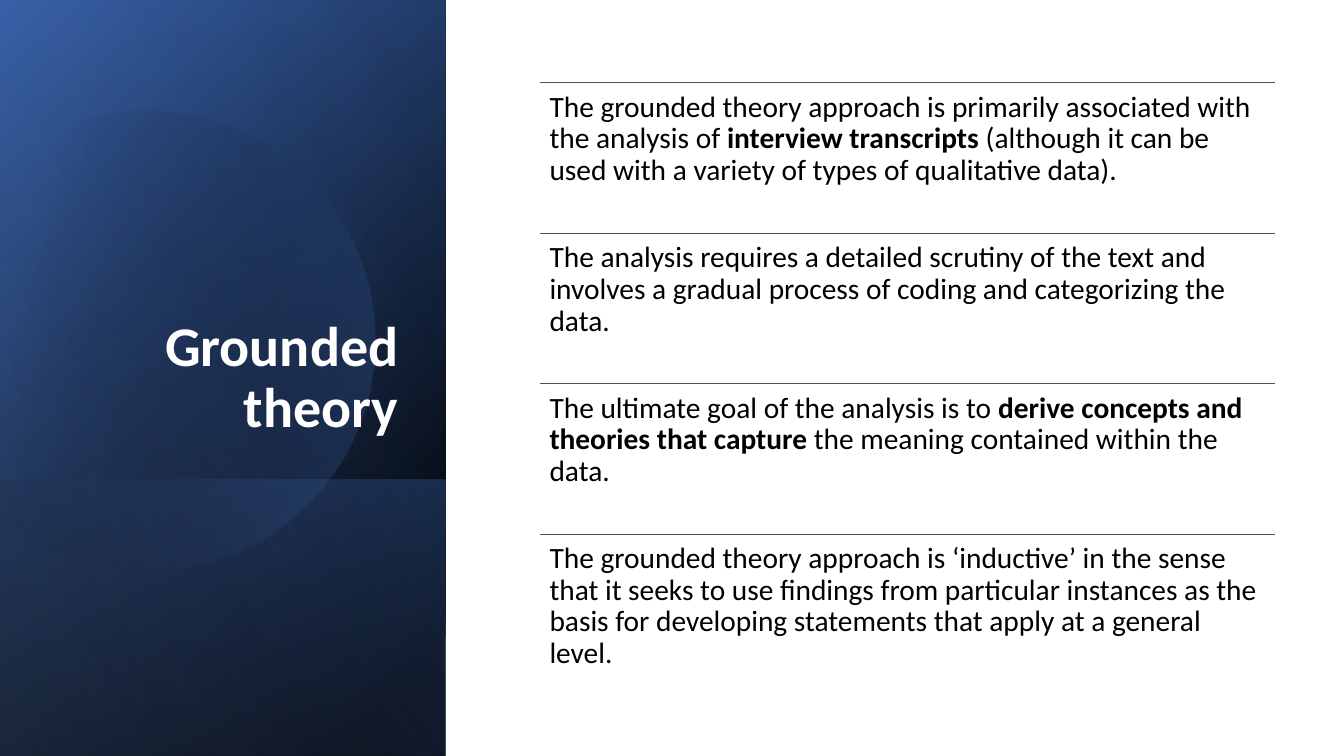
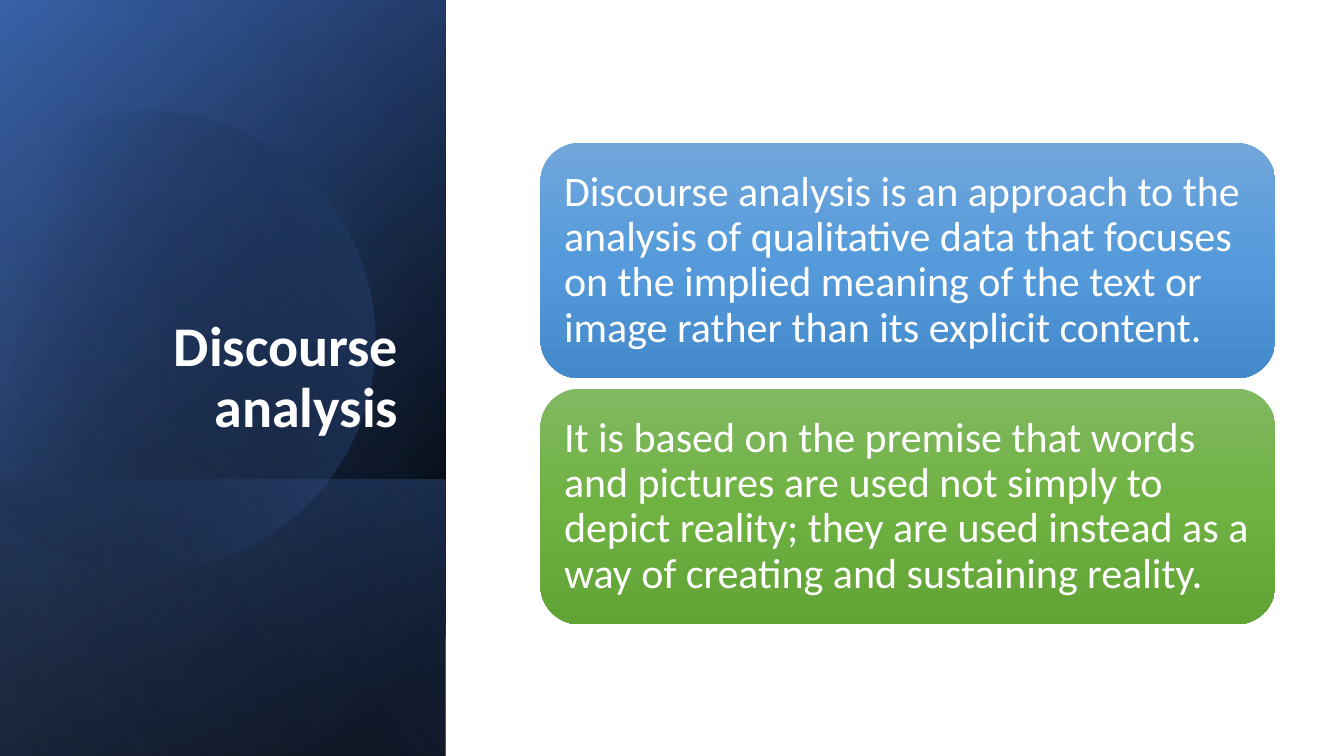
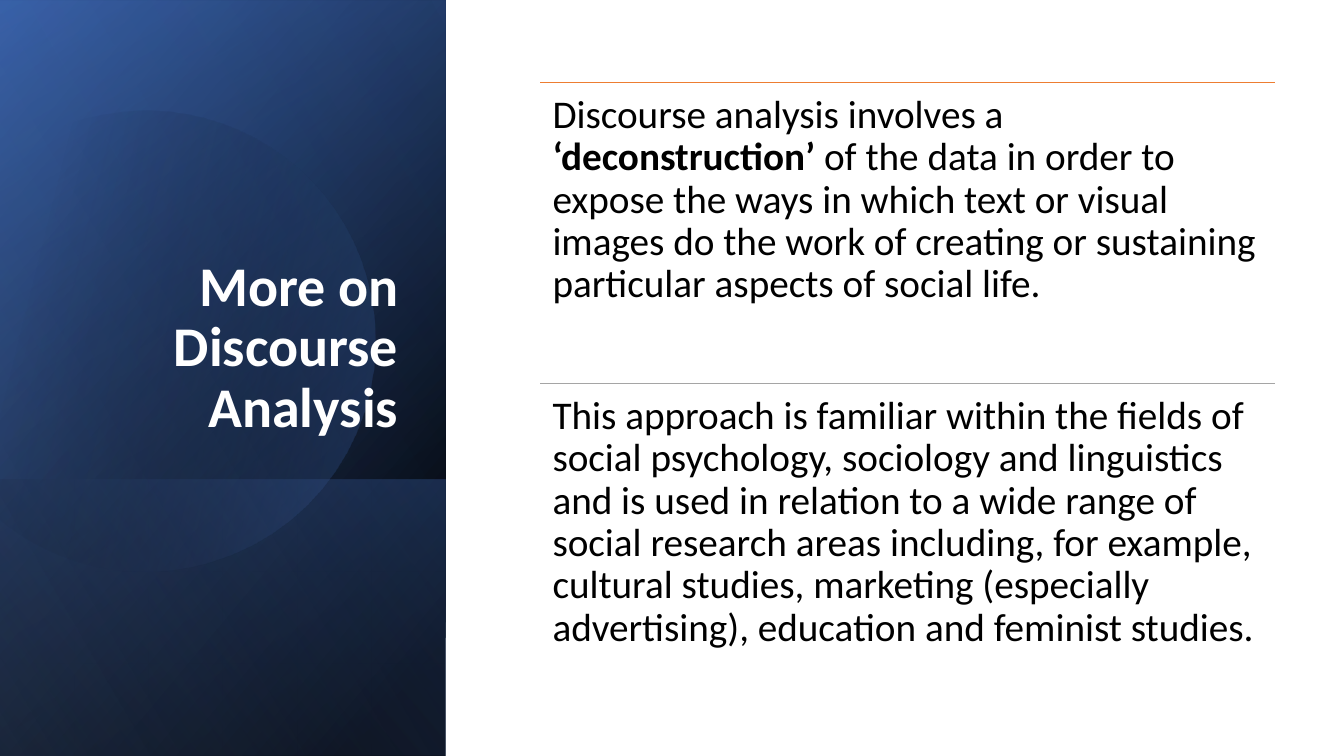
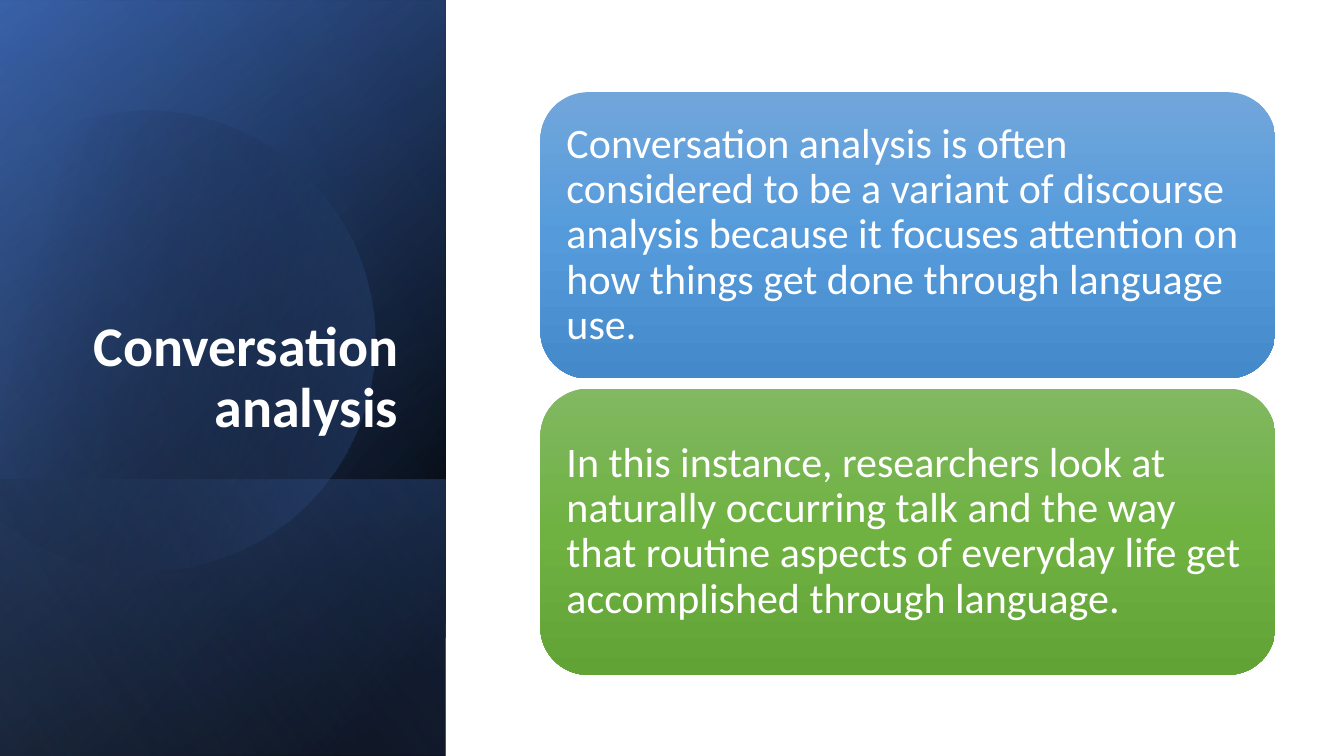
from dataclasses import dataclass
from math import cos, radians, sin

from lxml.etree import SubElement
from pptx import Presentation
from pptx.dml.color import RGBColor
from pptx.enum.shapes import MSO_CONNECTOR as CONN, MSO_SHAPE as SHAPE
from pptx.enum.text import MSO_ANCHOR as ANCHOR, MSO_AUTO_SIZE as AUTO, PP_ALIGN as ALIGN
from pptx.oxml.ns import qn
from pptx.util import Inches, Pt


@dataclass(frozen=True)
class Theme:
    font: str = "Calibri"
    white: str = "FFFFFF"
    black: str = "000000"
    slate: str = "44546A"
    orange: str = "ED7D31"
    grey: str = "A5A5A5"
    navy: str = "2F5597"
    blue: str = "4472C4"
    pale: str = "8FAADC"
    blue_card: tuple = ("71A6DB", "559BDB", "448ACA")
    green_card: tuple = ("81B861", "6FB242", "62A336")
    title_size: int = 40
    card_size: int = 30
    large_size: int = 28
    small_size: int = 21
    spacing: float = 0.9
    rule_width: float = 0.5


T = Theme()

# Content column on the right of the side panel
LEFT, TOP, WIDTH, HEIGHT = 5.36, 0.82, 7.29, 5.97
CARD_GAP = 0.1

# Side panel layers: box, gradient stops (position, colour, opacity), angle
BASE_LAYERS = [
    ((-1.54, 1.54, 7.5, 4.42), [(8, T.black, 100), (100, T.navy, 100)], 50),
    ((-1.54, 1.55, 7.5, 4.42), [(0, T.black, 0), (99, T.blue, 46)], 30),
    ((0.84, 3.92, 2.74, 4.42), [(2, T.blue, 29), (100, T.black, 30)], 130),
]
TOP_LAYER = ((-1.54, 1.54, 7.5, 4.42), [(0, T.black, 0), (99, T.pale, 11)], 120)

# Disc cut off by the slide edge: Bezier segments, then straight corners
DISC_START = (1.49, 1.1)
DISC_RIGHT = [
    ((2.46, 1.12), (3.35, 1.77), (3.63, 2.75)),
    ((3.98, 3.97), (3.28, 5.23), (2.07, 5.58)),
    ((1.31, 5.8), (0.53, 5.61), (-0.03, 5.14)),
]
DISC_EDGE = [(-0.15, 5.03), (-0.15, 1.75), (0, 1.61)]
DISC_TOP = [
    ((0.23, 1.42), (0.5, 1.28), (0.8, 1.19)),
    ((1.03, 1.13), (1.26, 1.1), DISC_START),
]
DISC_CENTRE = (1.58, 3.35)
DISC_TURN = 343.9


def put(obj, **values):
    """Set several attributes of an object."""
    for name, value in values.items():
        setattr(obj, name, value)


def curve(start, segments, steps=16):
    """Points along joined cubic Bezier segments, without the start."""
    points = []
    for b, c, end in segments:
        for i in range(1, steps + 1):
            t = i / steps
            u = 1 - t
            weights = (u ** 3, 3 * u * u * t, 3 * u * t * t, t ** 3)
            points.append(tuple(
                sum(w * q[axis] for w, q in zip(weights, (start, b, c, end)))
                for axis in (0, 1)))
        start = end
    return points


def turn(point, centre, degrees):
    """Rotate a point clockwise about a centre."""
    a = radians(degrees)
    dx, dy = point[0] - centre[0], point[1] - centre[1]
    return (centre[0] + dx * cos(a) - dy * sin(a),
            centre[1] + dx * sin(a) + dy * cos(a))


class Deck:
    def __init__(self):
        self.prs = Presentation()
        put(self.prs, slide_width=Inches(13.33), slide_height=Inches(7.5))
        self.s = None

    def slide(self, title):
        self.s = self.prs.slides.add_slide(self.prs.slide_layouts[5])
        self.panel()
        self.title(title)

    def gradient(self, shape, stops, angle):
        shape.shadow.inherit = False
        shape.line.fill.background()
        shape.fill.gradient()
        grad = shape.element.spPr.find(qn("a:gradFill"))
        gs_list = grad.find(qn("a:gsLst"))
        for gs in list(gs_list):
            gs_list.remove(gs)
        for pos, color, opacity in stops:
            gs = SubElement(gs_list, qn("a:gs"), pos=str(pos * 1000))
            clr = SubElement(gs, qn("a:srgbClr"), val=color)
            if opacity < 100:
                SubElement(clr, qn("a:alpha"), val=str(opacity * 1000))
        grad.find(qn("a:lin")).set("ang", str(angle * 60000))

    def layer(self, box, stops, angle):
        shape = self.s.shapes.add_shape(SHAPE.RECTANGLE, *map(Inches, box))
        shape.rotation = 90
        shape.element.spPr.find(qn("a:xfrm")).set("flipH", "1")
        self.gradient(shape, stops, angle)

    def disc(self):
        points = [DISC_START, *curve(DISC_START, DISC_RIGHT), *DISC_EDGE,
                  *curve(DISC_EDGE[-1], DISC_TOP)]
        points = [tuple(map(Inches, turn(q, DISC_CENTRE, -DISC_TURN))) for q in points]
        builder = self.s.shapes.build_freeform(*points[0])
        builder.add_line_segments(points[1:], close=True)
        shape = builder.convert_to_shape()
        shape.rotation = DISC_TURN
        self.gradient(shape, [(29, T.black, 0), (100, T.blue, 43)], 30)

    def panel(self):
        for layer in BASE_LAYERS:
            self.layer(*layer)
        self.disc()
        self.layer(*TOP_LAYER)

    def text(self, shape, text, size, color, inset, anchor, align=ALIGN.LEFT, bold=False):
        """Fill a shape with one paragraph; *stars* mark bold words."""
        tf = shape.text_frame
        put(tf, word_wrap=True, auto_size=AUTO.NONE, vertical_anchor=anchor,
            **{f"margin_{side}": Inches(inset) for side in ("left", "right", "top", "bottom")})
        p = tf.paragraphs[0]
        put(p, alignment=align, line_spacing=T.spacing)
        for i, part in enumerate(text.split("*")):
            r = p.add_run()
            r.text = part
            put(r.font, name=T.font, size=Pt(size), bold=bold or i % 2 == 1)
            r.font.color.rgb = RGBColor.from_string(color)

    def title(self, text):
        title = self.s.shapes.title
        put(title, left=Inches(0.64), top=Inches(1.84), width=Inches(3.41), height=Inches(2.62))
        self.text(title, text, T.title_size, T.white, 0.1, ANCHOR.BOTTOM, ALIGN.RIGHT, True)
        title.element.getparent().append(title.element)  # in front of the panel

    def rule(self, y, color):
        line = self.s.shapes.add_connector(
            CONN.STRAIGHT, *map(Inches, (LEFT, y, LEFT + WIDTH, y)))
        line.line.width = Pt(T.rule_width)
        line.line.color.rgb = RGBColor.from_string(color)
        SubElement(line.element.spPr, qn("a:effectLst"))

    def rows(self, items, size, inset):
        """Equal rows of text, each under a thin rule."""
        height = HEIGHT / len(items)
        for i, (text, color) in enumerate(items):
            y = TOP + i * height
            self.rule(y, color)
            box = self.s.shapes.add_textbox(*map(Inches, (LEFT, y, WIDTH, height)))
            self.text(box, text, size, T.black, inset, ANCHOR.TOP)

    def cards(self, texts, height):
        """Rounded cards stacked about the middle of the column."""
        step = height + CARD_GAP
        top = TOP + (HEIGHT - step * len(texts) + CARD_GAP) / 2
        for i, (text, colors) in enumerate(zip(texts, (T.blue_card, T.green_card))):
            card = self.s.shapes.add_shape(
                SHAPE.ROUNDED_RECTANGLE, *map(Inches, (LEFT, top + i * step, WIDTH, height)))
            self.gradient(card, [(50 * n, c, 100) for n, c in enumerate(colors)], 90)
            self.text(card, text, T.card_size, T.white, 0.12, ANCHOR.MIDDLE)


def main():
    deck = Deck()

    deck.slide("Grounded theory")
    deck.rows([(text, T.slate) for text in (
        "The grounded theory approach is primarily associated with the analysis of "
        "*interview transcripts *(although it can be used with a variety of types of "
        "qualitative data).",
        "The analysis requires a detailed scrutiny of the text and involves a gradual "
        "process of coding and categorizing the data.",
        "The ultimate goal of the analysis is to *derive concepts and theories that "
        "capture* the meaning contained within the data.",
        "The grounded theory approach is ‘inductive’ in the sense that it seeks to use "
        "findings from particular instances as the basis for developing statements that "
        "apply at a general level.",
    )], T.small_size, 0.09)

    deck.slide("Discourse analysis")
    deck.cards([
        "Discourse analysis is an approach to the analysis of qualitative data that "
        "focuses on the implied meaning of the text or image rather than its explicit "
        "content.",
        "It is based on the premise that words and pictures are used not simply to depict "
        "reality; they are used instead as a way of creating and sustaining reality.",
    ], 2.34)

    deck.slide("More on Discourse Analysis")
    deck.rows([
        ("Discourse analysis involves a *‘deconstruction’ *of the data in order to expose "
         "the ways in which text or visual images do the work of creating or sustaining "
         "particular aspects of social life.", T.orange),
        ("This approach is familiar within the fields of social psychology, sociology and "
         "linguistics and is used in relation to a wide range of social research areas "
         "including, for example, cultural studies, marketing (especially advertising), "
         "education and feminist studies.", T.grey),
    ], T.large_size, 0.12)

    deck.slide("Conversation analysis")
    deck.cards([
        "Conversation analysis is often considered to be a variant of discourse analysis "
        "because it focuses attention on how things get done through language use.",
        "In this instance, researchers look at naturally occurring talk and the way that "
        "routine aspects of everyday life get accomplished through language.",
    ], 2.84)

    deck.prs.save("out.pptx")


if __name__ == "__main__":
    main()
